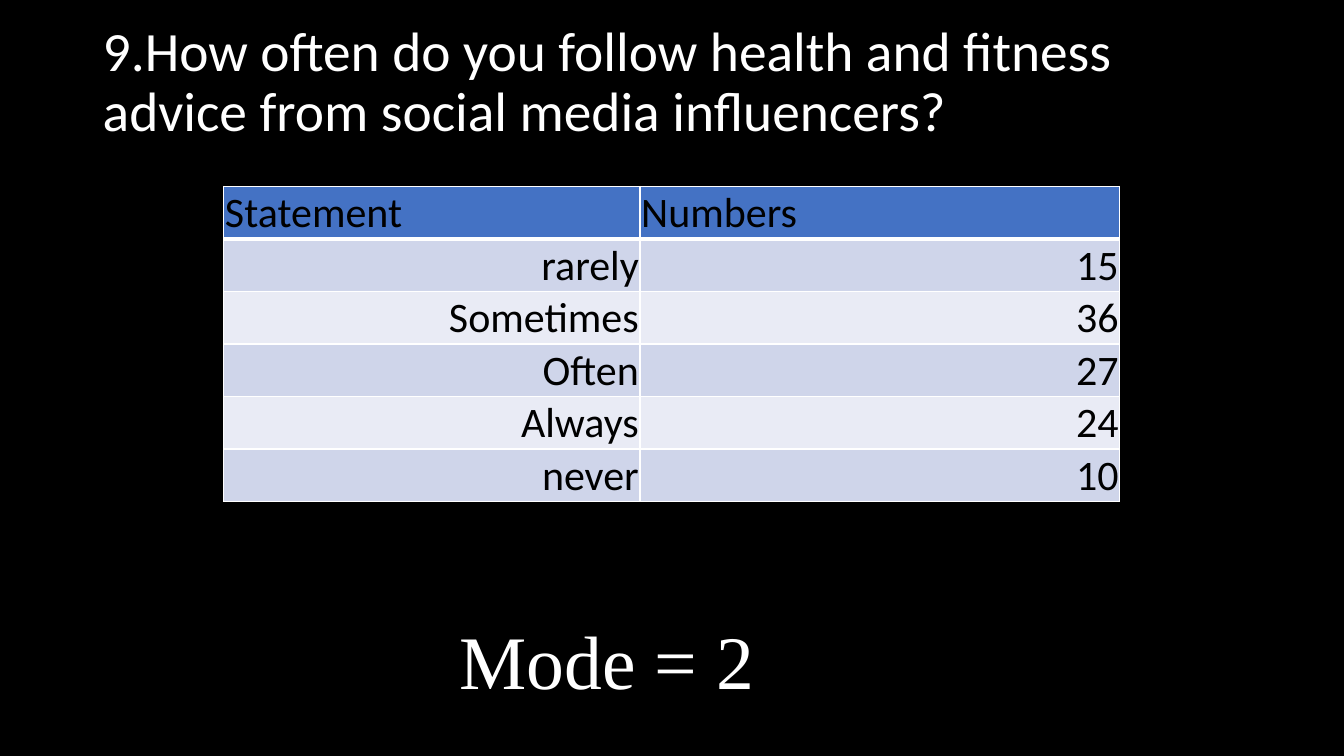
import dataclasses
import typing

import lxml.etree
import pptx
import pptx.dml.color
import pptx.enum.text
import pptx.oxml.ns
import pptx.util

Cm = pptx.util.Cm
Pt = pptx.util.Pt
RGB = pptx.dml.color.RGBColor
ANCHOR = pptx.enum.text.MSO_ANCHOR
ALIGN = pptx.enum.text.PP_ALIGN


@dataclasses.dataclass(frozen=True)
class Theme:
    background: RGB = RGB(0x00, 0x00, 0x00)
    light: RGB = RGB(0xFF, 0xFF, 0xFF)
    dark: RGB = RGB(0x00, 0x00, 0x00)
    header: RGB = RGB(0x44, 0x72, 0xC4)
    bands: tuple[RGB, RGB] = (RGB(0xCF, 0xD5, 0xEA), RGB(0xE9, 0xEB, 0xF5))
    body_font: str = "Calibri"
    mode_font: str = "Times New Roman"
    title_size: float = 39.6
    table_size: float = 30
    mode_size: float = 54
    rule: float = 1
    header_rule: float = 3


THEME = Theme()


@dataclasses.dataclass(frozen=True)
class Label:
    text: str
    box: tuple[float, float, float, float]
    font: str
    size: float
    frame: dict[str, typing.Any]
    line_spacing: float = 1.0


class Answer(typing.NamedTuple):
    statement: str
    number: str


LABELS = [
    # The deep bottom margin lifts the centred question clear of the table.
    Label("9.How often do you follow health and fitness advice from social media influencers?",
          (2.34, 1.02, 29.21, 3.68), THEME.body_font, THEME.title_size,
          {"vertical_anchor": ANCHOR.MIDDLE, "margin_bottom": Cm(1.63)}, 0.9),
    Label("Mode = 2", (11.33, 15.34, 8.46, 2.57), THEME.mode_font, THEME.mode_size,
          {"auto_size": pptx.enum.text.MSO_AUTO_SIZE.SHAPE_TO_FIT_TEXT}),
]
HEADINGS = Answer("Statement", "Numbers")
ANSWERS = [
    Answer("rarely", "15"),
    Answer("Sometimes", "36"),
    Answer("Often", "27"),
    Answer("Always", "24"),
    Answer("never", "10"),
]
TABLE_LEFT, TABLE_TOP = 5.64, 4.7
COLUMN_WIDTHS = (10.49, 12.09)
ROW_HEIGHT = 1.29


def set_attributes(target: typing.Any, values: dict[str, typing.Any]) -> None:
    for name, value in values.items():
        setattr(target, name, value)


def write(p: typing.Any, text: str, font: str, size: float, color: RGB) -> None:
    r = p.add_run()
    r.text = text
    set_attributes(r.font, {"name": font, "size": Pt(size)})
    r.font.color.rgb = color


def add_label(s: typing.Any, label: Label) -> None:
    sp = s.shapes.add_textbox(*(Cm(length) for length in label.box))
    tf = sp.text_frame
    set_attributes(tf, {"word_wrap": True, **label.frame})
    p = tf.paragraphs[0]
    p.line_spacing = label.line_spacing
    write(p, label.text, label.font, label.size, THEME.light)


def add_borders(cell: typing.Any, widths: dict[str, float]) -> None:
    """Add white borders; call before filling, as the schema puts lines first."""
    tc_pr = cell._tc.get_or_add_tcPr()
    qn = pptx.oxml.ns.qn
    for side, width in widths.items():
        ln = lxml.etree.SubElement(tc_pr, qn(f"a:ln{side}"), w=str(Pt(width)))
        fill = lxml.etree.SubElement(ln, qn("a:solidFill"))
        lxml.etree.SubElement(fill, qn("a:srgbClr"), val=str(THEME.light))


def format_cell(cell: typing.Any, text: str, row: int) -> None:
    is_header = row == 0
    add_borders(cell, {
        "L": THEME.rule,
        "R": THEME.rule,
        "T": THEME.header_rule if row == 1 else THEME.rule,
        "B": THEME.header_rule if is_header else THEME.rule,
    })
    cell.fill.solid()
    cell.fill.fore_color.rgb = THEME.header if is_header else THEME.bands[(row - 1) % 2]
    set_attributes(cell, {
        "vertical_anchor": ANCHOR.BOTTOM,
        "margin_left": Cm(0.03),
        "margin_right": Cm(0.03),
        "margin_top": Cm(0.03),
        "margin_bottom": Cm(0),
    })
    p = cell.text_frame.paragraphs[0]
    p.alignment = ALIGN.LEFT if is_header else ALIGN.RIGHT
    write(p, text, THEME.body_font, THEME.table_size, THEME.dark)


def add_answer_table(s: typing.Any) -> None:
    rows = [HEADINGS, *ANSWERS]
    table = s.shapes.add_table(
        len(rows), len(COLUMN_WIDTHS), Cm(TABLE_LEFT), Cm(TABLE_TOP),
        Cm(sum(COLUMN_WIDTHS)), Cm(ROW_HEIGHT * len(rows))).table
    for column, width in zip(table.columns, COLUMN_WIDTHS):
        column.width = Cm(width)
    for i, answer in enumerate(rows):
        table.rows[i].height = Cm(ROW_HEIGHT)
        for j, text in enumerate(answer):
            format_cell(table.cell(i, j), text, i)


def main() -> None:
    prs = pptx.Presentation()
    set_attributes(prs, {"slide_width": Cm(33.87), "slide_height": Cm(19.05)})
    s = prs.slides.add_slide(prs.slide_layouts[6])
    s.background.fill.solid()
    s.background.fill.fore_color.rgb = THEME.background
    add_answer_table(s)
    for label in LABELS:
        add_label(s, label)
    prs.save("out.pptx")


if __name__ == "__main__":
    main()
